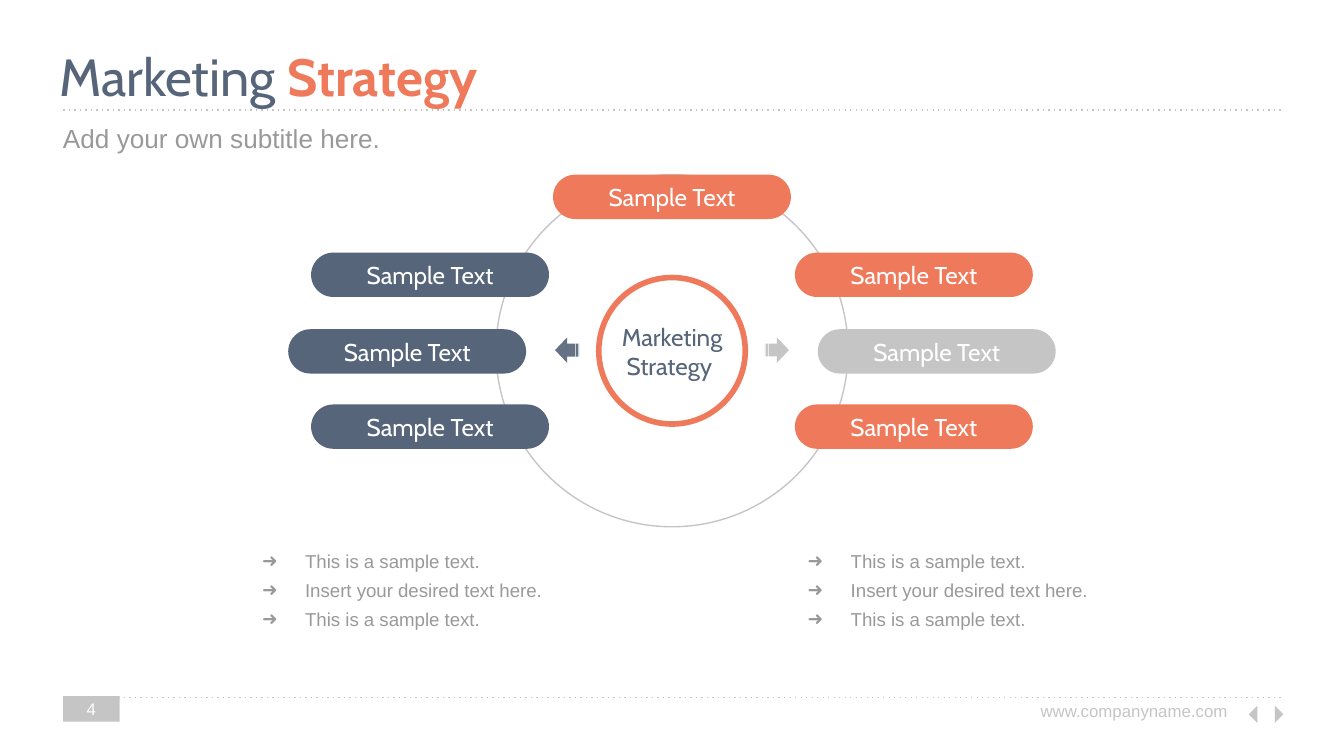
from lxml import etree
from pptx import Presentation
from pptx.dml.color import RGBColor
from pptx.enum import shapes, text
from pptx.oxml import ns
from pptx.util import Inches, Pt

COLORS = {"navy": "566579", "coral": "EE795B", "silver": "C6C5C5",
          "gray": "999999", "white": "FFFFFF"}
SHAPE = shapes.MSO_SHAPE
ALIGN = text.PP_ALIGN
ANCHOR = text.MSO_ANCHOR


def rgb(name):
    """Look up a palette colour."""
    return RGBColor.from_string(COLORS[name])


def inches(*values):
    """Convert several lengths from inches."""
    return [Inches(v) for v in values]


def format_run(r, size, font, color, bold=False):
    """Set the character format of a run."""
    r.font.size, r.font.name, r.font.bold = Pt(size), font, bold
    r.font.color.rgb = rgb(color)


def prepare_frame(tf, anchor=ANCHOR.TOP):
    """Give a text frame equal insets, wrapping and a fixed size."""
    tf.word_wrap = True
    tf.auto_size = text.MSO_AUTO_SIZE.NONE
    tf.vertical_anchor = anchor
    tf.margin_left = tf.margin_right = Inches(0.1)
    tf.margin_top = tf.margin_bottom = Inches(0.1)


def write(sp, words, size, font, color, align=ALIGN.LEFT, anchor=ANCHOR.TOP):
    """Write one formatted paragraph into a shape."""
    tf = sp.text_frame
    prepare_frame(tf, anchor)
    tf.text = words
    p = tf.paragraphs[0]
    p.alignment = align
    format_run(p.runs[0], size, font, color)


def add_text(s, box, *args, **kwargs):
    """Add a text box with one paragraph."""
    write(s.shapes.add_textbox(*inches(*box)), *args, **kwargs)


def add_solid(s, kind, box, color, rotation=0):
    """Add a filled shape without outline."""
    sp = s.shapes.add_shape(kind, *inches(*box))
    sp.shadow.inherit = False
    sp.fill.solid()
    sp.fill.fore_color.rgb = rgb(color)
    sp.line.fill.background()
    sp.rotation = rotation
    return sp


def add_ring(s, cx, cy, size, color, weight):
    """Add an unfilled circle around a centre point."""
    sp = s.shapes.add_shape(SHAPE.OVAL, *inches(cx - size / 2, cy - size / 2, size, size))
    sp.shadow.inherit = False
    sp.fill.background()
    sp.line.color.rgb = rgb(color)
    sp.line.width = Pt(weight)


def add_rule(s, left, top, width):
    """Add a dotted horizontal rule."""
    line = s.shapes.add_connector(shapes.MSO_CONNECTOR.STRAIGHT,
                                  *inches(left, top, left + width, top))
    line.line.color.rgb = rgb("silver")
    line.line.width = Pt(0.75)
    etree.SubElement(line.line._get_or_add_ln(), ns.qn("a:prstDash"), val="dot")
    etree.SubElement(line._element.spPr, ns.qn("a:effectLst"))


def add_header(s, left, top, width):
    """Place the title, its rule and the subtitle."""
    add_rule(s, left, top + 0.59, width)
    title = s.shapes.title
    title.left, title.top, title.width, title.height = inches(left - 0.13, top, 9.32, 0.51)
    prepare_frame(title.text_frame)
    p = title.text_frame.paragraphs[0]
    p.alignment = ALIGN.LEFT
    for words, color, bold in (("Marketing ", "navy", False), ("Strategy", "coral", True)):
        r = p.add_run()
        r.text = words
        format_run(r, 28, "Cabin", color, bold)
    add_text(s, (left - 0.1, top + 0.62, 9.32, 0.35), "Add your own subtitle here.",
             14, "Arial", "gray", anchor=ANCHOR.MIDDLE)


def add_footer(s, left, top, width):
    """Place the footer rule, page number, address and arrows."""
    add_rule(s, left, top + 0.01, width)
    box = (left, top, 0.42, 0.19)
    add_solid(s, SHAPE.RECTANGLE, box, "silver")
    add_text(s, box, "4", 9, "Arial", "white", ALIGN.CENTER, ANCHOR.MIDDLE)
    right = left + width
    add_text(s, (right - 1.98, top - 0.06, 1.68, 0.19), "www.companyname.com",
             9, "Arial", "silver", ALIGN.RIGHT)
    for offset, rotation in ((0.22, 45), (0.09, 225)):
        add_solid(s, SHAPE.RIGHT_TRIANGLE, (right - offset, top + 0.09, 0.09, 0.09),
                  "silver", rotation)


def add_wheel(s, left, top, size):
    """Place the circle with its pills, hub and arrows."""
    cx, cy = left + size / 2, top + size / 2
    pill_w, pill_h, hub = 1.77, 0.33, 1.09
    add_ring(s, cx, cy, size, "silver", 0.75)
    pills = [(0, 0, "coral")]
    for offset, dy, right_color in ((1.8, 0.58, "coral"), (1.97, 1.15, "silver"),
                                    (1.8, 1.71, "coral")):
        pills += [(-offset, dy, "navy"), (offset, dy, right_color)]
    for dx, dy, color in pills:
        pill = add_solid(s, SHAPE.ROUNDED_RECTANGLE,
                         (cx + dx - pill_w / 2, top + dy, pill_w, pill_h), color)
        pill.adjustments[0] = 0.5
        write(pill, "Sample Text", 13, "Cabin", "white", ALIGN.CENTER, ANCHOR.MIDDLE)
    add_ring(s, cx, cy, hub, "coral", 3)
    add_text(s, (cx - hub / 2, cy - 0.31, hub, 0.44), "Marketing Strategy ",
             13, "Cabin", "navy", ALIGN.CENTER)
    for dx, color, rotation in ((-0.78, "navy", 180), (0.78, "silver", 0)):
        arrow = add_solid(s, SHAPE.STRIPED_RIGHT_ARROW,
                          (cx + dx - 0.09, cy - 0.1, 0.18, 0.19), color, rotation)
        if color == "navy":
            clr = arrow._element.spPr.find(".//" + ns.qn("a:srgbClr"))
            etree.SubElement(clr, ns.qn("a:alpha"), val="91000")


def add_list(body, left, top, width, height):
    """Fill a body placeholder with arrow bullets."""
    body.left, body.top, body.width, body.height = inches(left, top, width, height)
    tf = body.text_frame
    prepare_frame(tf)
    tf.text = "This is a sample text.\nInsert your desired text here.\nThis is a sample text."
    for p in tf.paragraphs:
        p.alignment = ALIGN.LEFT
        p.line_spacing = 1.3
        p.space_before = p.space_after = Pt(0)
        pPr = p._p.get_or_add_pPr()
        pPr.set("marL", str(Inches(0.5)))
        pPr.set("indent", str(Inches(-0.32)))
        clr = etree.SubElement(pPr, ns.qn("a:buClr"))
        etree.SubElement(clr, ns.qn("a:srgbClr"), val=COLORS["gray"])
        etree.SubElement(pPr, ns.qn("a:buFont"), typeface="Arial")
        etree.SubElement(pPr, ns.qn("a:buChar"), char="➜")
        format_run(p.runs[0], 10, "Arial", "gray")


def main():
    """Build the slide and save it."""
    prs = Presentation()
    prs.slide_width = Inches(10)
    prs.slide_height = prs.slide_width * 9 // 16
    s = prs.slides.add_slide(prs.slide_layouts[3])
    add_header(s, 0.47, 0.23, 9.06)
    add_wheel(s, 3.69, 1.3, 2.62)
    for idx, left in ((1, 1.67), (2, 5.73)):
        add_list(s.placeholders[idx], left, 3.94, 2.61, 0.83)
    add_footer(s, 0.47, 5.18, 9.06)
    prs.save("out.pptx")


if __name__ == "__main__":
    main()
